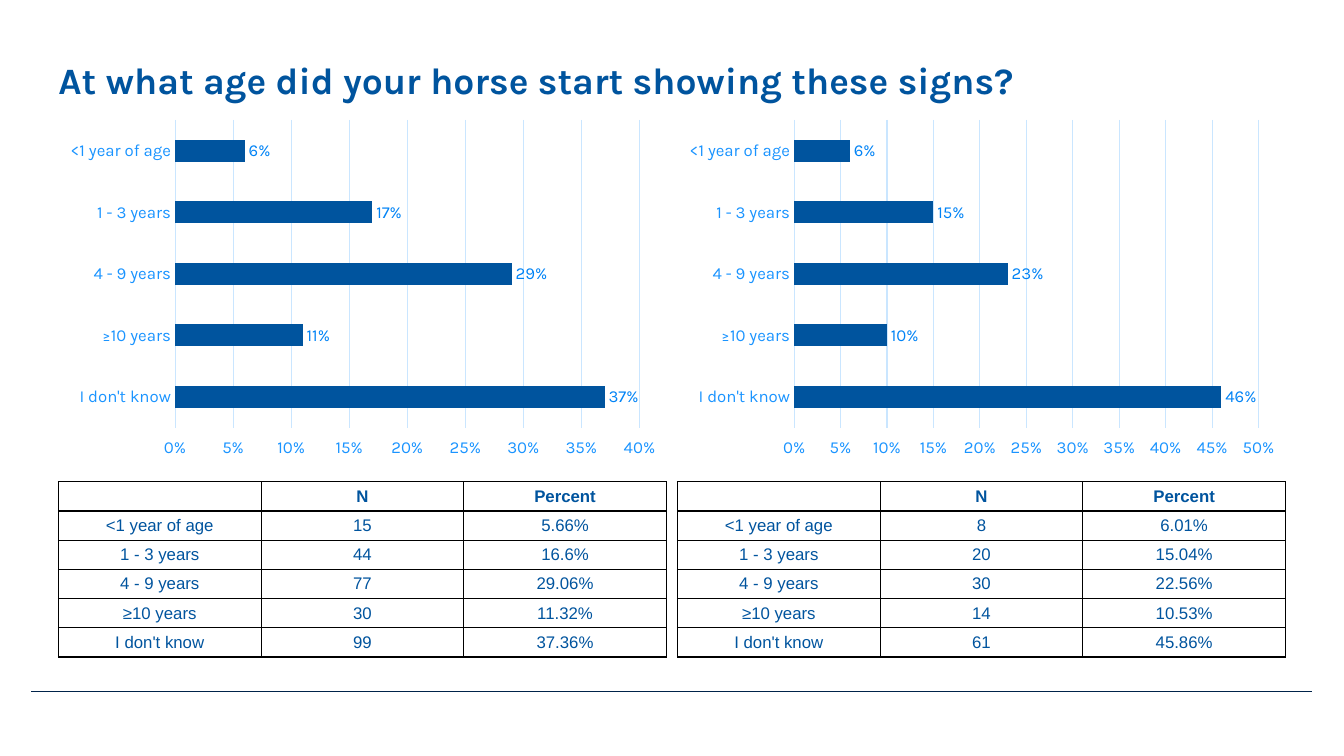
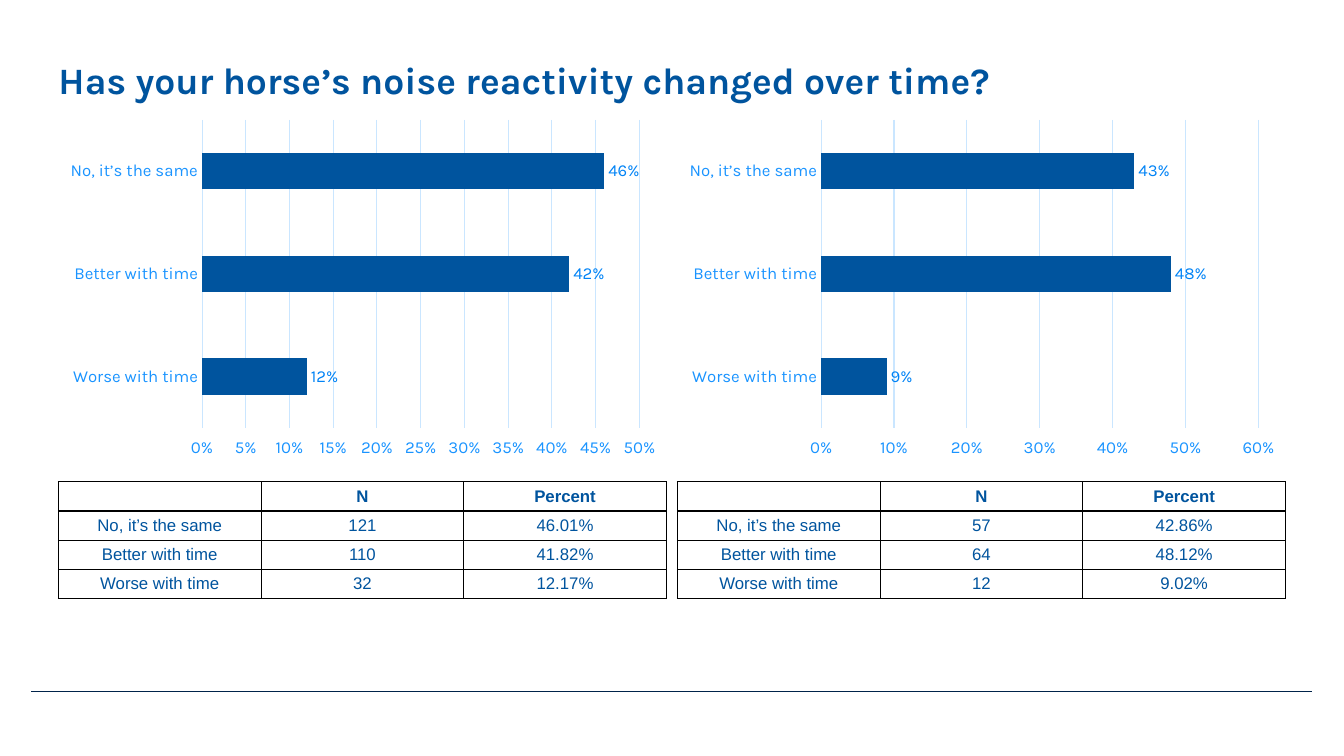
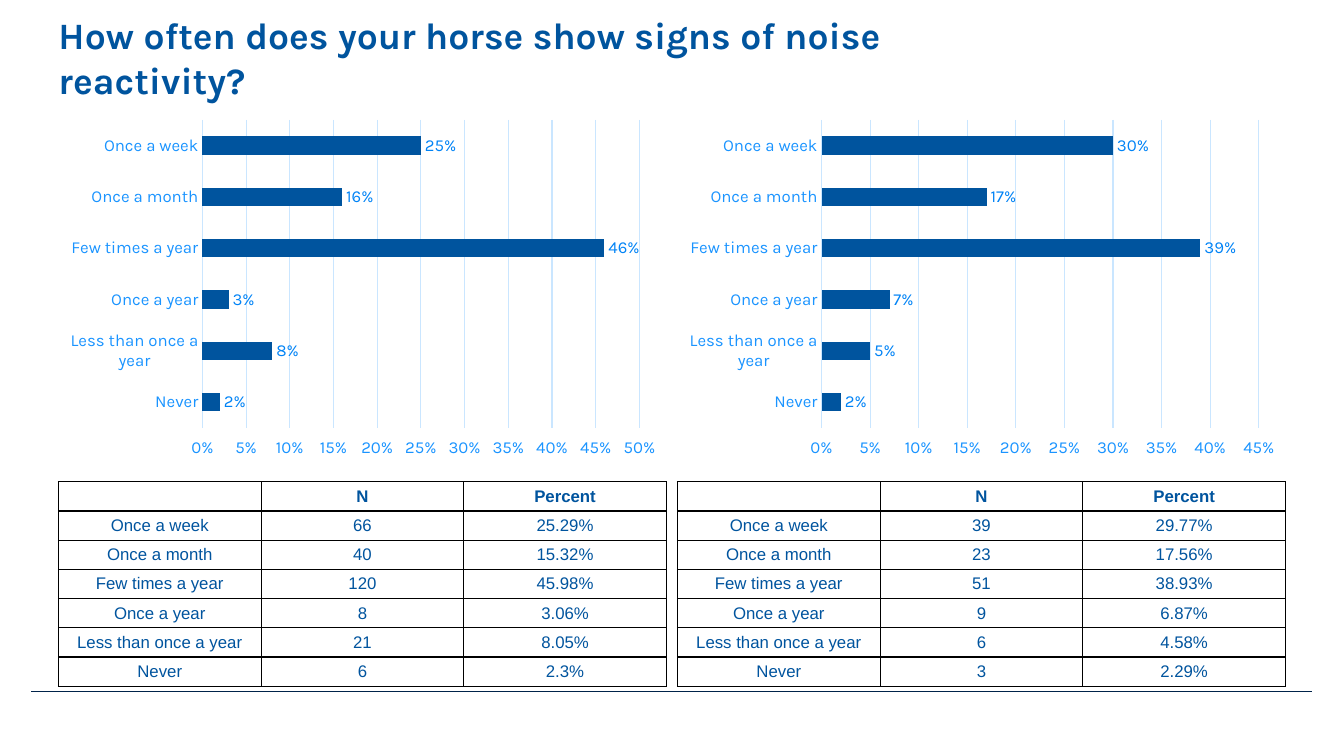
import pptx
import pptx.util
import pptx.chart.data
import pptx.dml.color
import pptx.enum.chart
import pptx.enum.shapes
import pptx.enum.text
import pptx.oxml
import pptx.oxml.ns

Inches, Pt = pptx.util.Inches, pptx.util.Pt
XL = pptx.enum.chart
ALIGN = pptx.enum.text.PP_ALIGN
ANCHOR = pptx.enum.text.MSO_ANCHOR

NAVY, SKY, LABEL, PALE, RULE, BLACK = (
    "00549E", "1A94FF", "0083F6", "CAE6FF", "00234A", "000000")
HEAD = ("", "N", "Percent")
LEFTS = (0.58, 6.72)
WIDTH = 6.04
ROW = 0.29

# Each panel: axis top, then (bar value, count, percent) for every answer.
SLIDES = [
    {"title": "At what age did your horse start showing these signs?",
     "lines": 1,
     "cats": ["<1 year of age", "1 - 3 years", "4 - 9 years", "≥10 years",
              "I don't know"],
     "panels": [
         (0.4, [(0.06, "15", "5.66%"), (0.17, "44", "16.6%"),
                (0.29, "77", "29.06%"), (0.11, "30", "11.32%"),
                (0.37, "99", "37.36%")]),
         (0.5, [(0.06, "8", "6.01%"), (0.15, "20", "15.04%"),
                (0.23, "30", "22.56%"), (0.1, "14", "10.53%"),
                (0.46, "61", "45.86%")])]},
    {"title": "Has your horse’s noise reactivity changed over time?",
     "lines": 1,
     "cats": ["No, it’s the same", "Better with time", "Worse with time"],
     "panels": [
         (0.5, [(0.46, "121", "46.01%"), (0.42, "110", "41.82%"),
                (0.12, "32", "12.17%")]),
         (0.6, [(0.43, "57", "42.86%"), (0.48, "64", "48.12%"),
                (0.09, "12", "9.02%")])]},
    {"title": "How often does your horse show signs of noise reactivity?",
     "lines": 2,
     "cats": ["Once a week", "Once a month", "Few times a year",
              "Once a year", "Less than once a year", "Never"],
     "panels": [
         (0.5, [(0.25, "66", "25.29%"), (0.16, "40", "15.32%"),
                (0.46, "120", "45.98%"), (0.03, "8", "3.06%"),
                (0.08, "21", "8.05%"), (0.02, "6", "2.3%")]),
         (0.45, [(0.3, "39", "29.77%"), (0.17, "23", "17.56%"),
                 (0.39, "51", "38.93%"), (0.07, "9", "6.87%"),
                 (0.05, "6", "4.58%"), (0.02, "3", "2.29%")])]},
]


def color(code):
    return pptx.dml.color.RGBColor.from_string(code)


def node(tag, attrs="", inner=""):
    """Build one element of the drawing namespace."""
    return pptx.oxml.parse_xml("<a:%s %s %s>%s</a:%s>" % (
        tag, pptx.oxml.ns.nsdecls("a"), attrs, inner, tag))


def style(font, size, code=NAVY, face="Karla", bold=False):
    font.size, font.name, font.bold = Pt(size), face, bold
    font.color.rgb = color(code)


def write(frame, text, align=ALIGN.LEFT, **look):
    para = frame.paragraphs[0]
    para.alignment = align
    if text:
        run = para.add_run()
        run.text = text
        style(run.font, **look)
    else:
        para._p.append(node("endParaRPr", 'sz="%d"' % (look["size"] * 100),
                            '<a:latin typeface="%s"/>' % look["face"]))


def stroke(line, code, width):
    line.color.rgb = color(code)
    line.width = Pt(width)


def add_rule(slide, layout):
    """Draw the footer rule and move it to the layout all slides share."""
    rule = slide.shapes.add_connector(
        pptx.enum.shapes.MSO_CONNECTOR.STRAIGHT,
        Inches(0.31), Inches(6.86), Inches(13.01), Inches(6.86))
    stroke(rule.line, RULE, 0.5)
    rule.element.spPr.append(node("effectLst"))
    layout.element.cSld.spTree.append(rule.element)


def add_title(slide, text, lines):
    title = slide.shapes.title
    high = 0.45 * lines
    title.left, title.top = Inches(0.58), Inches(1.01 - high)
    title.width, title.height = Inches(9.61), Inches(high)
    frame = title.text_frame
    frame.margin_left = frame.margin_right = 0
    frame.margin_top = frame.margin_bottom = 0
    frame.vertical_anchor = ANCHOR.BOTTOM
    frame.word_wrap = True
    frame.auto_size = pptx.enum.text.MSO_AUTO_SIZE.NONE
    write(frame, text, size=26.6, bold=True)


def add_bars(slide, left, cats, vals, top):
    data = pptx.chart.data.CategoryChartData(number_format="0%")
    data.categories = cats
    data.add_series("Series 1", vals)
    chart = slide.shapes.add_chart(
        XL.XL_CHART_TYPE.BAR_CLUSTERED, Inches(left), Inches(1.12),
        Inches(WIDTH), Inches(3.49), data).chart
    chart.has_legend = chart.has_title = False
    style(chart.font, 10)

    plot = chart.plots[0]
    plot.gap_width = 182
    plot.vary_by_categories = False
    fill = plot.series[0].format.fill
    fill.solid()
    fill.fore_color.rgb = color(NAVY)
    plot.has_data_labels = True
    labels = plot.data_labels
    labels.show_value = True
    labels.number_format, labels.number_format_is_linked = "0%", False
    labels.position = XL.XL_LABEL_POSITION.OUTSIDE_END
    style(labels.font, 12, LABEL)

    names, scale = chart.category_axis, chart.value_axis
    for axis in (names, scale):
        axis.major_tick_mark = axis.minor_tick_mark = XL.XL_TICK_MARK.NONE
        style(axis.tick_labels.font, 12, SKY)
    names.reverse_order = True
    stroke(names.format.line, PALE, 0.75)
    scale.tick_label_position = XL.XL_TICK_LABEL_POSITION.HIGH
    scale.minimum_scale, scale.maximum_scale = 0, top
    scale.major_unit = 0.1 if top > 0.5 else 0.05
    scale.tick_labels.number_format = "0%"
    scale.tick_labels.number_format_is_linked = False
    scale.format.line.fill.background()
    scale.has_major_gridlines = True
    stroke(scale.major_gridlines.format.line, PALE, 0.75)


def add_border(cell):
    props = cell._tc.get_or_add_tcPr()
    for side in "LRTB":
        props.append(node(
            "ln" + side, 'w="12700"',
            '<a:solidFill><a:srgbClr val="%s"/></a:solidFill>' % BLACK))


def add_grid(slide, left, rows):
    table = slide.shapes.add_table(
        len(rows), len(HEAD), Inches(left), Inches(4.78),
        Inches(WIDTH - 0.01), Inches(ROW * len(rows))).table
    for y, row in enumerate(rows):
        table.rows[y].height = Inches(ROW)
        for x, text in enumerate(row):
            cell = table.cell(y, x)
            add_border(cell)
            cell.fill.background()
            cell.vertical_anchor = ANCHOR.MIDDLE
            write(cell.text_frame, text, align=ALIGN.CENTER, size=12,
                  face="Arial", bold=y == 0)


def main():
    deck = pptx.Presentation()
    deck.slide_width, deck.slide_height = Inches(13.33), Inches(7.5)
    layout = deck.slide_layouts[5]
    for num, page in enumerate(SLIDES):
        slide = deck.slides.add_slide(layout)
        if num == 0:
            add_rule(slide, layout)
        add_title(slide, page["title"], page["lines"])
        cats = page["cats"]
        for left, (top, stats) in zip(LEFTS, page["panels"]):
            add_bars(slide, left, cats, [stat[0] for stat in stats], top)
            body = [(cat, *stat[1:]) for cat, stat in zip(cats, stats)]
            add_grid(slide, left, [HEAD, *body])
    deck.save("out.pptx")


if __name__ == "__main__":
    main()
